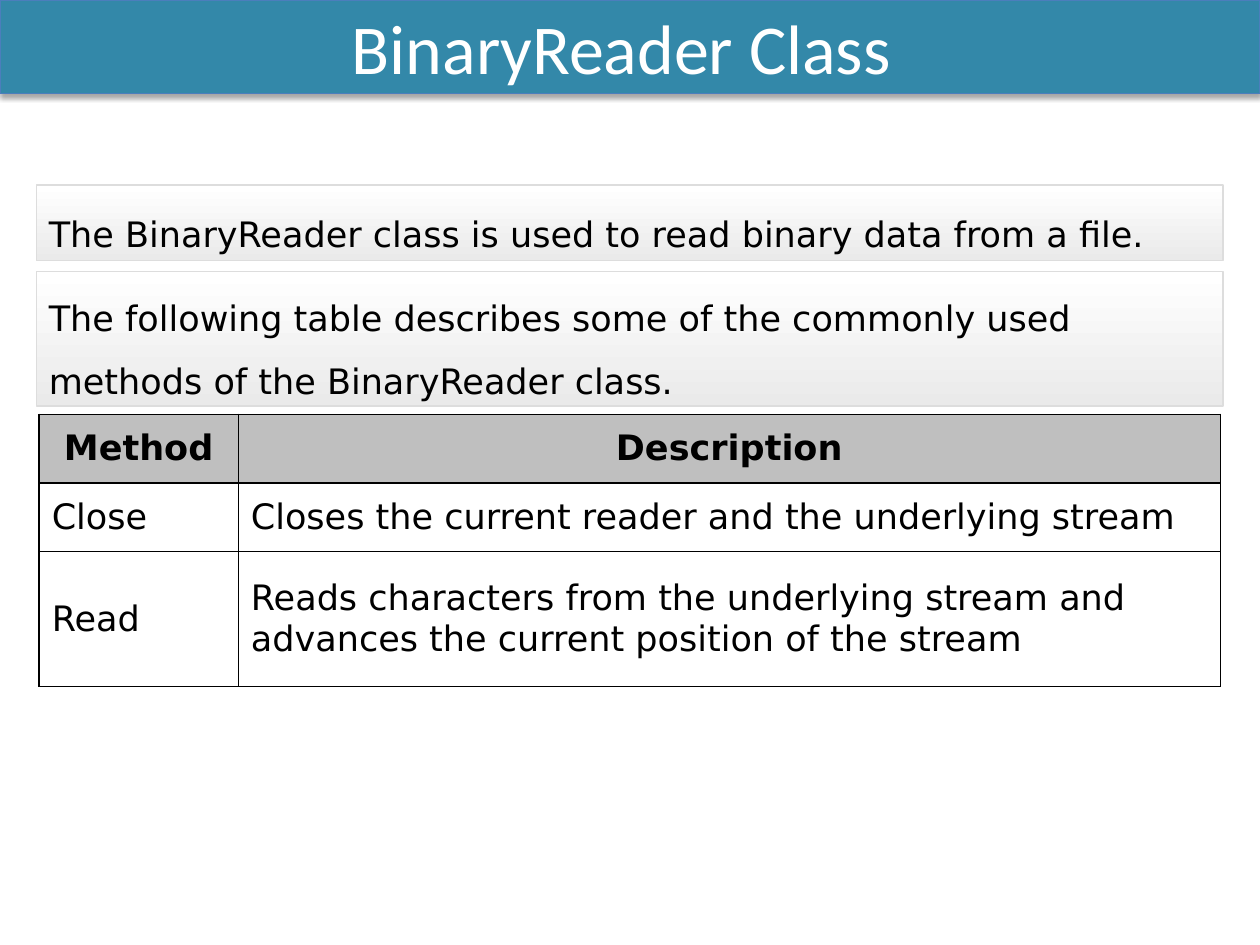
import lxml.etree
import pptx
import pptx.dml.color
import pptx.enum.shapes
import pptx.enum.text
import pptx.oxml
import pptx.oxml.ns
import pptx.util

Pt = pptx.util.Pt
PP_ALIGN = pptx.enum.text.PP_ALIGN
MIDDLE = pptx.enum.text.MSO_ANCHOR.MIDDLE

COLORS = {
    "banner": "3388A9",
    "banner_line": "4B7EBC",
    "white": "FFFFFF",
    "black": "000000",
    "panel_end": "EAEAEA",
    "panel_line": "DDDDDD",
    "header": "BFBFBF",
}
BODY_FONT = "DejaVu Sans"
METHODS = [
    ("Method", "Description"),
    ("Close", "Closes the current reader and the underlying stream"),
    ("Read", "Reads characters from the underlying stream and advances "
             "the current position of the stream"),
]


def rgb(name):
    return pptx.dml.color.RGBColor.from_string(COLORS[name])


def write(paragraph, text, size, font, color, align=PP_ALIGN.LEFT, bold=False):
    paragraph.alignment = align
    run = paragraph.add_run()
    run.text = text
    run.font.size = Pt(size)
    run.font.name = font
    run.font.bold = bold
    run.font.color.rgb = rgb(color)


def place(shape, box):
    shape.left, shape.top, shape.width, shape.height = (Pt(v) for v in box)


def outline(shape, color, width):
    shape.line.color.rgb = rgb(color)
    shape.line.width = Pt(width)


def add_banner(slide, box, text):
    banner = slide.shapes.title
    place(banner, box)
    banner.fill.solid()
    banner.fill.fore_color.rgb = rgb("banner")
    outline(banner, "banner_line", 0.75)
    banner._element.spPr.append(pptx.oxml.parse_xml(
        f'<a:effectLst {pptx.oxml.ns.nsdecls("a")}>'
        f'<a:outerShdw blurRad="{Pt(3.1)}" dist="{Pt(1.8)}" dir="5400000" rotWithShape="0">'
        f'<a:srgbClr val="{COLORS["black"]}"><a:alpha val="35000"/></a:srgbClr>'
        '</a:outerShdw></a:effectLst>'))
    frame = banner.text_frame
    frame.auto_size = pptx.enum.text.MSO_AUTO_SIZE.NONE
    frame.vertical_anchor = MIDDLE
    frame.margin_right = Pt(17)
    write(frame.paragraphs[0], text, 40, "Calibri", "white", PP_ALIGN.CENTER)


def add_panel(slide, box, text):
    panel = slide.shapes.add_shape(
        pptx.enum.shapes.MSO_SHAPE.RECTANGLE, *(Pt(v) for v in box))
    panel.shadow.inherit = False
    panel.fill.gradient()
    panel.fill.gradient_angle = 270
    for stop, position, color in zip(
            panel.fill.gradient_stops, (0, 1), ("white", "panel_end")):
        stop.position = position
        stop.color.rgb = rgb(color)
    outline(panel, "panel_line", 1)
    frame = panel.text_frame
    frame.word_wrap = True
    frame.vertical_anchor = MIDDLE
    frame.paragraphs[0].line_spacing = 1.5
    write(frame.paragraphs[0], text, 20, BODY_FONT, "black")


def add_borders(cell):
    properties = cell._tc.get_or_add_tcPr()
    for index, side in enumerate(("lnL", "lnR", "lnT", "lnB")):
        properties.insert(index, pptx.oxml.parse_xml(
            f'<a:{side} {pptx.oxml.ns.nsdecls("a")} w="{Pt(1)}"><a:solidFill>'
            f'<a:srgbClr val="{COLORS["black"]}"/></a:solidFill></a:{side}>'))


def add_methods_table(slide, box, method_width, row_heights):
    left, top, width, height = box
    table = slide.shapes.add_table(
        len(METHODS), 2, Pt(left), Pt(top), Pt(width), Pt(height)).table
    table.horz_banding = False
    table.first_row = False
    table.columns[0].width = Pt(method_width)
    table.columns[1].width = Pt(width - method_width)
    for row_index, (texts, row_height) in enumerate(zip(METHODS, row_heights)):
        table.rows[row_index].height = Pt(row_height)
        is_header = row_index == 0
        for column_index, text in enumerate(texts):
            cell = table.cell(row_index, column_index)
            cell.vertical_anchor = MIDDLE
            if is_header:
                cell.fill.solid()
                cell.fill.fore_color.rgb = rgb("header")
            else:
                cell.fill.background()
            add_borders(cell)
            write(cell.text_frame.paragraphs[0], text, 20, BODY_FONT, "black",
                  PP_ALIGN.CENTER if is_header else PP_ALIGN.LEFT, is_header)


def main():
    deck = pptx.Presentation()
    deck.slide_width, deck.slide_height = Pt(720), Pt(540)
    slide = deck.slides.add_slide(deck.slide_layouts[5])
    add_methods_table(slide, (22.4, 236.8, 675, 155.6), 113.8, (39.2, 39.2, 77.2))
    add_banner(slide, (0, 0, 720, 53.5), "BinaryReader Class")
    add_panel(slide, (20.8, 105.8, 678.2, 43.2),
              "The BinaryReader class is used to read binary data from a file.")
    add_panel(slide, (20.8, 155.2, 678.2, 77),
              "The following table describes some of the commonly used "
              "methods of the BinaryReader class.")
    deck.save("out.pptx")


if __name__ == "__main__":
    main()
